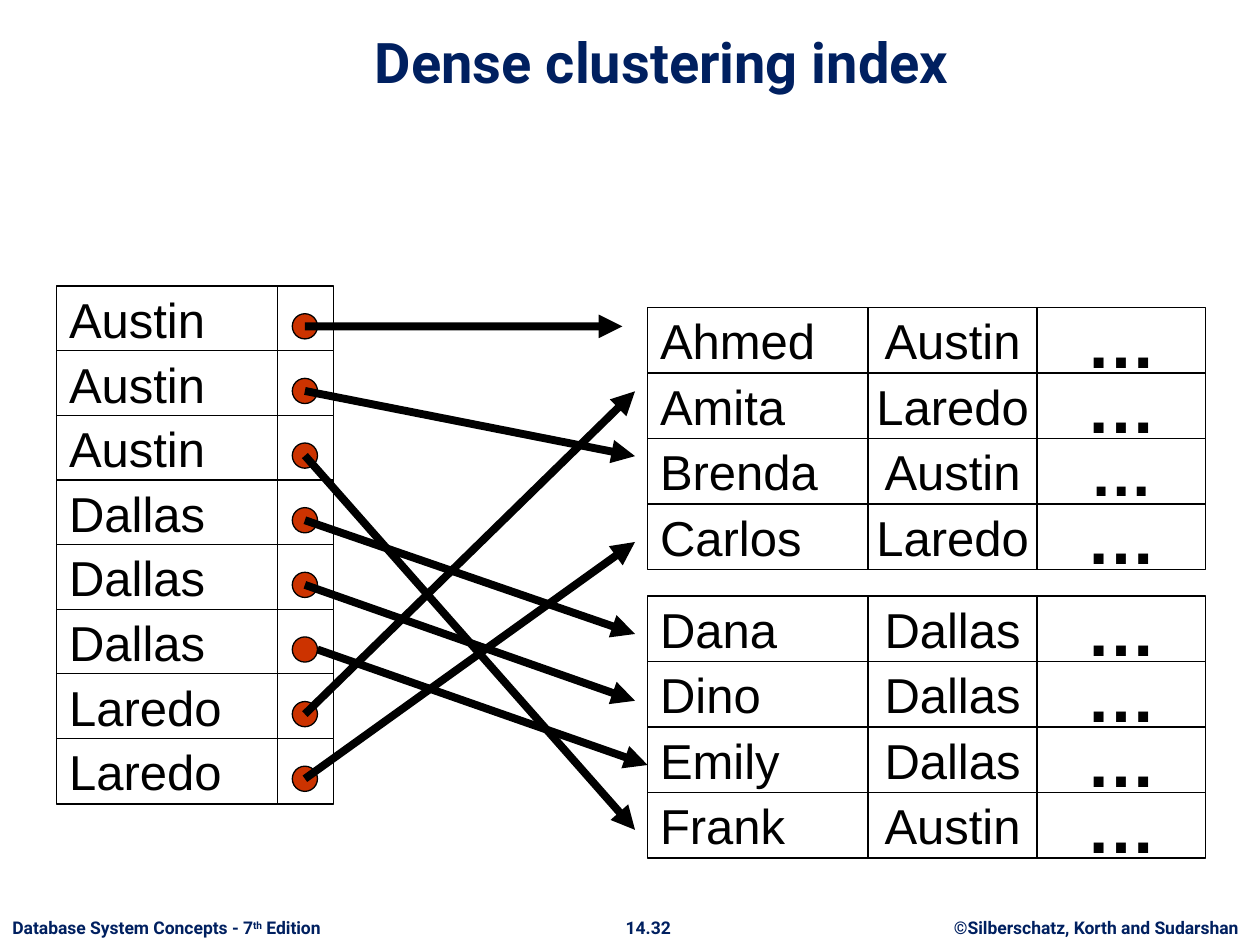
from dataclasses import dataclass

from lxml import etree
from pptx import Presentation
from pptx.dml.color import RGBColor
from pptx.enum.shapes import MSO_CONNECTOR, MSO_SHAPE
from pptx.enum.text import MSO_ANCHOR, PP_ALIGN
from pptx.oxml.ns import qn
from pptx.util import Inches, Pt

BLACK = RGBColor(0x00, 0x00, 0x00)
WHITE = RGBColor(0xFF, 0xFF, 0xFF)
NAVY = RGBColor(0x00, 0x20, 0x60)
RED = RGBColor(0xCC, 0x33, 0x00)
LEFT, MID = PP_ALIGN.LEFT, PP_ALIGN.CENTER
TOP, CENTER, BOTTOM = MSO_ANCHOR.TOP, MSO_ANCHOR.MIDDLE, MSO_ANCHOR.BOTTOM
RECT, OVAL = MSO_SHAPE.RECTANGLE, MSO_SHAPE.OVAL
STRAIGHT = MSO_CONNECTOR.STRAIGHT


@dataclass(frozen=True)
class Grid:
    """Rows of equal pitch below a top edge; columns between edges."""
    top: float
    pitch: float
    cols: tuple[float, ...]

    def row(self, at: float) -> float:
        return self.top + at * self.pitch

    def width(self, col: int) -> float:
        return self.cols[col + 1] - self.cols[col]


@dataclass(frozen=True)
class Style:
    size: float
    font: str = "Arial"
    color: RGBColor = BLACK
    bold: bool = False


@dataclass(frozen=True)
class Run:
    text: str
    style: Style
    lift: int = 0  # superscript, in percent


@dataclass(frozen=True)
class Label:
    box: tuple[float, float, float, float]
    runs: tuple[Run, ...]
    align: PP_ALIGN = MID
    anchor: MSO_ANCHOR = TOP
    wrap: bool = False


@dataclass(frozen=True)
class Link:
    """Arrow from an index row to a row of a record block."""
    key: int
    block: Grid
    row: float
    shift: float = 0


CELL = 0.52
DOT = 0.2
INDEX = Grid(2.27, 0.513, (0.45, 2.2, 2.65))
DOTS = Grid(2.49, INDEX.pitch, (2.32, 2.32 + DOT))
COLS = (5.14, 6.89, 8.23, 9.57)
UPPER = Grid(2.44, CELL, COLS)
LOWER = Grid(4.73, CELL, COLS)

BODY = Style(28)
DETAIL = Style(40, bold=True)
SMALL = Style(36, bold=True)
HEAD = Style(32, "Roboto", NAVY, True)
FOOT = Style(10, "Roboto", NAVY, True)

KEYS = ("Austin",) * 3 + ("Dallas",) * 3 + ("Laredo",) * 2
BLOCKS = (
    (UPPER, (("Ahmed", "Austin", DETAIL), ("Amita", "Laredo", DETAIL),
             ("Brenda", "Austin", SMALL), ("Carlos", "Laredo", DETAIL))),
    (LOWER, (("Dana", "Dallas", DETAIL), ("Dino", "Dallas", DETAIL),
             ("Emily", "Dallas", DETAIL), ("Frank", "Austin", DETAIL))),
)
LINKS = (
    Link(0, UPPER, 0.29, -0.1), Link(1, UPPER, 2.27),
    Link(2, LOWER, 3.57), Link(3, LOWER, 0.58),
    Link(4, LOWER, 1.6), Link(5, LOWER, 2.58, 0.1),
    Link(6, UPPER, 1.28), Link(7, UPPER, 3.58),
)
LABELS = (
    Label((0.84, 0.13, 8.83, 0.67), (Run("Dense clustering index", HEAD),),
          anchor=BOTTOM, wrap=True),
    Label((0, 7.23, 2.81, 0.27),
          (Run("Database System Concepts - 7", FOOT), Run("th", FOOT, 30),
           Run(" Edition", FOOT)), LEFT),
    Label((4.86, 7.23, 0.57, 0.27), (Run("14.32", FOOT),)),
    Label((7.4, 7.23, 2.6, 0.27),
          (Run("©Silberschatz, Korth and Sudarshan", FOOT),)),
)


def write(shape, runs: tuple[Run, ...], align: PP_ALIGN,
          anchor: MSO_ANCHOR, wrap: bool = False) -> None:
    frame = shape.text_frame
    frame.word_wrap = wrap
    frame.vertical_anchor = anchor
    para = frame.paragraphs[0]
    para.alignment = align
    for item in runs:
        run = para.add_run()
        run.text = item.text
        font, style = run.font, item.style
        font.name, font.size, font.bold = style.font, Pt(style.size), style.bold
        font.color.rgb = style.color
        if item.lift:
            run._r.get_or_add_rPr().set("baseline", str(item.lift * 1000))


def block(slide, kind: MSO_SHAPE, x: float, y: float, w: float, h: float,
          fill: RGBColor = WHITE):
    shape = slide.shapes.add_shape(kind, *map(Inches, (x, y, w, h)))
    shape.shadow.inherit = False
    shape.fill.solid()
    shape.fill.fore_color.rgb = fill
    shape.line.color.rgb = BLACK
    shape.line.width = Pt(0.75)
    return shape


def cell(slide, grid: Grid, row: int, col: int, text: str = "",
         style: Style = BODY, align: PP_ALIGN = LEFT) -> None:
    shape = block(slide, RECT, grid.cols[col], grid.row(row),
                  grid.width(col), CELL)
    if text:
        write(shape, (Run(text, style),), align, CENTER)


def arrow(slide, link: Link) -> None:
    # Only a link shifted right leaves from the edge of its dot
    start = DOTS.cols[0] + DOT / 2 + max(link.shift, 0)
    end = link.block.cols[0] - 0.1 + link.shift
    line = slide.shapes.add_connector(
        STRAIGHT, Inches(start), Inches(DOTS.row(link.key) + DOT / 2),
        Inches(end), Inches(link.block.row(link.row)))
    line.line.color.rgb = BLACK
    line.line.width = Pt(4.5)
    etree.SubElement(line.line._get_or_add_ln(), qn("a:tailEnd"), type="triangle")
    etree.SubElement(line._element.spPr, qn("a:effectLst"))


def main() -> None:
    deck = Presentation()
    deck.slide_width, deck.slide_height = Inches(10), Inches(7.5)
    slide = deck.slides.add_slide(deck.slide_layouts[6])

    # Title and footer
    for label in LABELS:
        box = slide.shapes.add_textbox(*map(Inches, label.box))
        write(box, label.runs, label.align, label.anchor, label.wrap)

    # Index entries with their pointers
    for row, key in enumerate(KEYS):
        cell(slide, INDEX, row, 0, key)
        cell(slide, INDEX, row, 1)
        block(slide, OVAL, DOTS.cols[0], DOTS.row(row), DOT, DOT, RED)

    # Record blocks
    for grid, records in BLOCKS:
        for row, (name, city, rest) in enumerate(records):
            cell(slide, grid, row, 0, name)
            cell(slide, grid, row, 1, city, align=MID)
            cell(slide, grid, row, 2, "…", rest, MID)

    # Pointers to records
    for link in LINKS:
        arrow(slide, link)

    deck.save("out.pptx")


if __name__ == "__main__":
    main()
